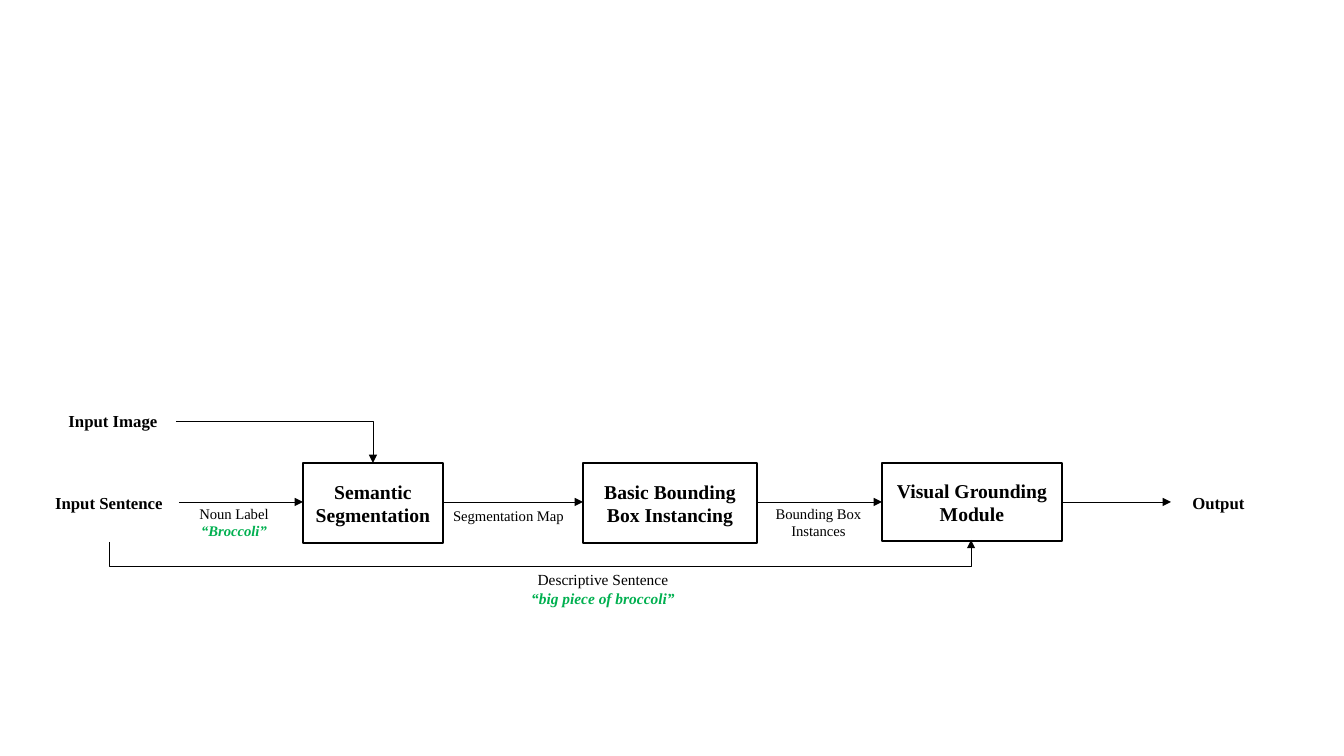
import pptx
import pptx.util
import pptx.dml.color
import pptx.enum.shapes
import pptx.enum.text
import lxml.etree

PX = 914400 / 100.8
INK = "000000"
GREEN = "00B050"
NS = "{http://schemas.openxmlformats.org/drawingml/2006/main}"
KIND = pptx.enum.shapes.MSO_CONNECTOR


def paint(hue):
    return pptx.dml.color.RGBColor.from_string(hue)


def write(shape, size, bold, lines):
    frame = shape.text_frame
    frame.word_wrap = True
    frame.vertical_anchor = pptx.enum.text.MSO_ANCHOR.MIDDLE
    for i, line in enumerate(lines):
        para = frame.add_paragraph() if i else frame.paragraphs[0]
        para.alignment = pptx.enum.text.PP_ALIGN.CENTER
        run = para.add_run()
        run.text = line
        font = run.font
        font.name = "Times New Roman"
        font.size = pptx.util.Pt(size)
        font.bold = bold or i > 0
        font.italic = i > 0
        font.color.rgb = paint(GREEN if i else INK)


deck = pptx.Presentation()
deck.slide_width = round(1344 * PX)
deck.slide_height = round(756 * PX)
slide = deck.slides.add_slide(deck.slide_layouts[6])

steps = [
    (303, 463, 140, 80, "Semantic Segmentation"),
    (583, 463, 174, 80, "Basic Bounding Box Instancing"),
    (882, 463, 180, 78, "Visual Grounding Module"),
]
for *place, name in steps:
    step = slide.shapes.add_shape(
        pptx.enum.shapes.MSO_SHAPE.RECTANGLE, *[round(n * PX) for n in place])
    step.shadow.inherit = False
    step.fill.solid()
    step.fill.fore_color.rgb = paint("FFFFFF")
    step.line.color.rgb = paint(INK)
    step.line.width = pptx.util.Pt(1)
    write(step, 14, True, [name])

labels = [
    (39, 463, 140, 80, 12, True, ["Input Sentence"]),
    (50, 381, 126, 80, 12, True, ["Input Image"]),
    (1171, 463, 95, 80, 12, True, ["Output"]),
    (181, 495, 106, 54, 10.5, False, ["Noun Label", "“Broccoli”"]),
    (440, 489, 137, 54, 10.5, False, ["Segmentation Map"]),
    (750, 495, 137, 54, 10.5, False, ["Bounding Box Instances"]),
    (498, 562, 210, 54, 11, False, ["Descriptive Sentence", "“big piece of broccoli”"]),
]
for *place, size, bold, lines in labels:
    label = slide.shapes.add_textbox(*[round(n * PX) for n in place])
    write(label, size, bold, lines)

arrows = [
    (KIND.STRAIGHT, 179, 502, 303, 502),
    (KIND.STRAIGHT, 443, 502, 583, 502),
    (KIND.STRAIGHT, 757, 502, 882, 502),
    (KIND.STRAIGHT, 1062, 502, 1171, 502),
    (KIND.ELBOW, 176, 421, 373, 463),
    (KIND.ELBOW, 541, 972, 539, 110),
]
drawn = []
for kind, *ends in arrows:
    arrow = slide.shapes.add_connector(kind, *[round(n * PX) for n in ends])
    arrow.line.color.rgb = paint(INK)
    arrow.line.width = pptx.util.Pt(0.5)
    props = arrow._element.spPr
    lxml.etree.SubElement(props.find(NS + "ln"), NS + "tailEnd", type="triangle")
    lxml.etree.SubElement(props, NS + "effectLst")
    drawn.append(props)

drop, loop = drawn[-2:]
drop.find(NS + "prstGeom").set("prst", "bentConnector2")
loop.find(NS + "xfrm").set("rot", "5400000")
bend = loop.find(NS + "prstGeom").find(NS + "avLst")
lxml.etree.SubElement(bend, NS + "gd", name="adj1", fmla="val -1250000")

deck.save("out.pptx")
